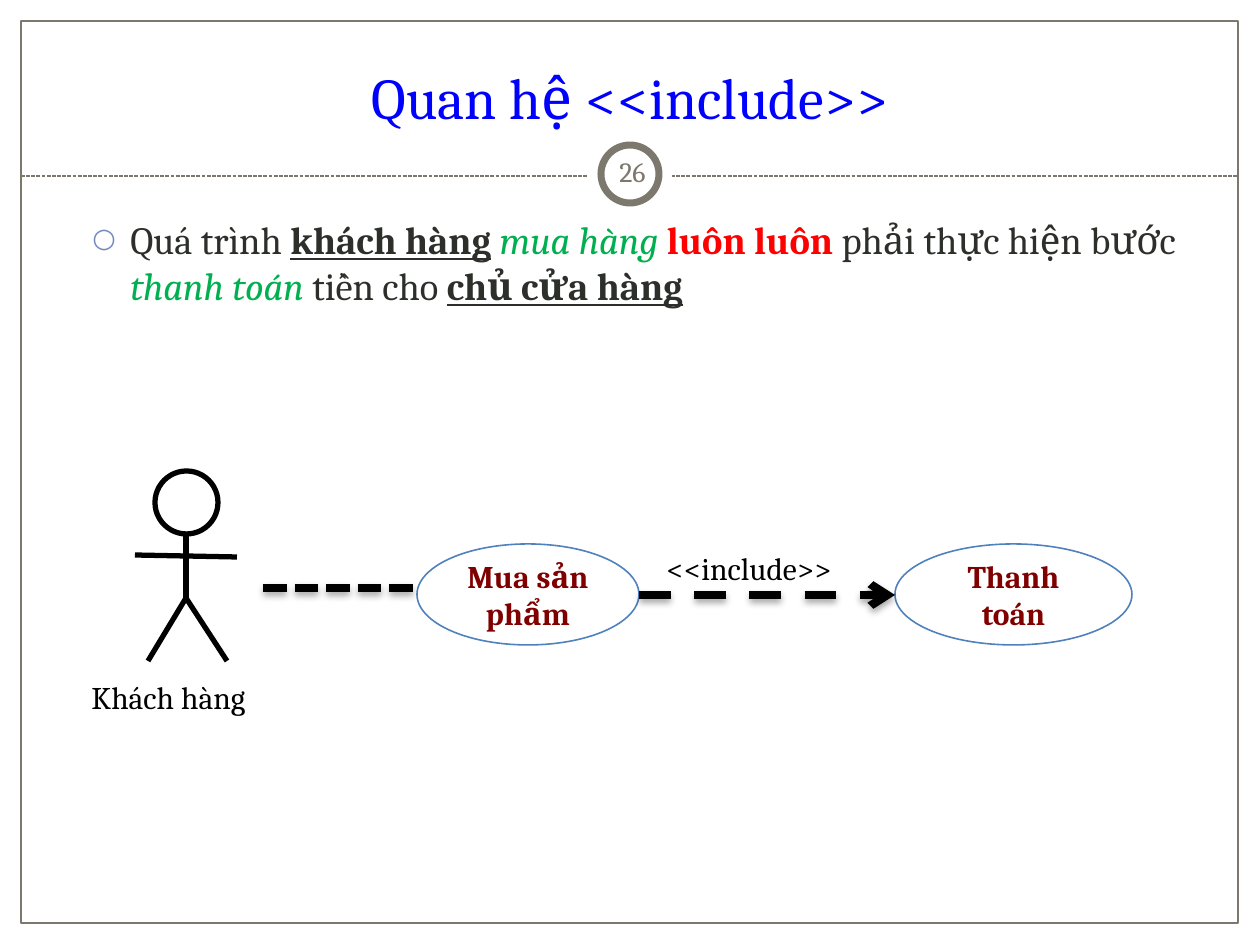
"""Builds the slide on the include relation between use cases."""
from dataclasses import dataclass
from typing import Optional

from lxml.etree import SubElement
from pptx import Presentation
from pptx.dml.color import RGBColor
from pptx.enum.dml import MSO_LINE
from pptx.enum.shapes import MSO_CONNECTOR, MSO_SHAPE
from pptx.enum.text import MSO_ANCHOR, PP_ALIGN
from pptx.oxml.ns import qn
from pptx.util import Emu, Pt

SCALE = 914400 / 126
FONT = "Cambria"
BLACK, WHITE, GREY, BLUE = "000000", "FFFFFF", "7D786D", "4F81BD"
INK, GREEN, RED, MAROON = "2D2F2B", "00B050", "FF0000", "800000"


@dataclass
class Box:
    left: int
    top: int
    width: int
    height: int


@dataclass
class Run:
    text: str
    size: int
    color: str
    bold: bool = False
    italic: bool = False
    under: bool = False


@dataclass
class Line:
    x1: int
    y1: int
    x2: int
    y2: int
    width: float = 3
    color: str = BLACK
    dash: Optional[MSO_LINE] = None
    arrow: bool = False
    shadow: bool = False


@dataclass
class Case:
    box: Box
    name: str


@dataclass
class Label:
    box: Box
    run: Run
    align: PP_ALIGN = PP_ALIGN.LEFT
    anchor: MSO_ANCHOR = MSO_ANCHOR.TOP
    wrap: bool = True
    inset: Optional[int] = None


def px(value: int) -> Emu:
    """Turn px into EMU."""
    return Emu(round(value * SCALE))


def rgb(color: str) -> RGBColor:
    """Turn a hex string into a colour."""
    return RGBColor.from_string(color)


def place(box: Box) -> tuple:
    """Give the four lengths of a box in EMU."""
    return px(box.left), px(box.top), px(box.width), px(box.height)


def write(par, runs: list[Run]) -> None:
    """Add runs to a paragraph."""
    for item in runs:
        run = par.add_run()
        run.text = item.text
        font = run.font
        font.name, font.size = FONT, Pt(item.size)
        font.bold, font.italic, font.underline = item.bold, item.italic, item.under
        font.color.rgb = rgb(item.color)


def style(shape, fill: Optional[str], line: Optional[str], width: float = 1) -> None:
    """Set fill and outline, and drop the shadow."""
    shape.shadow.inherit = False
    if fill:
        shape.fill.solid()
        shape.fill.fore_color.rgb = rgb(fill)
    else:
        shape.fill.background()
    if line:
        shape.line.color.rgb = rgb(line)
        shape.line.width = Pt(width)
    else:
        shape.line.fill.background()


def draw(slide, kind: MSO_SHAPE, box: Box, fill: Optional[str],
         line: Optional[str], width: float = 1):
    """Draw a preset shape."""
    shape = slide.shapes.add_shape(kind, *place(box))
    style(shape, fill, line, width)
    return shape


def join(slide, line: Line) -> None:
    """Draw a straight line."""
    ends = map(px, (line.x1, line.y1, line.x2, line.y2))
    wire = slide.shapes.add_connector(MSO_CONNECTOR.STRAIGHT, *ends)
    wire.line.color.rgb = rgb(line.color)
    wire.line.width = Pt(line.width)
    if line.dash:
        wire.line.dash_style = line.dash
    if line.arrow:
        SubElement(wire.line._get_or_add_ln(), qn("a:tailEnd"), type="arrow")
    effects = SubElement(wire._element.spPr, qn("a:effectLst"))
    if line.shadow:
        outer = SubElement(effects, qn("a:outerShdw"), blurRad=str(Pt(4)),
                           dist=str(Pt(2)), dir="5400000", rotWithShape="0")
        shade = SubElement(outer, qn("a:srgbClr"), val=BLACK)
        SubElement(shade, qn("a:alpha"), val="35000")


def label(slide, item: Label) -> None:
    """Draw a text box with one run."""
    frame = slide.shapes.add_textbox(*place(item.box)).text_frame
    frame.word_wrap, frame.vertical_anchor = item.wrap, item.anchor
    if item.inset is not None:
        frame.margin_left = frame.margin_right = px(item.inset)
        frame.margin_top = frame.margin_bottom = px(item.inset)
    frame.paragraphs[0].alignment = item.align
    write(frame.paragraphs[0], [item.run])


def oval(slide, case: Case) -> None:
    """Draw a use case."""
    frame = draw(slide, MSO_SHAPE.OVAL, case.box, WHITE, BLUE, 0.9).text_frame
    frame.word_wrap, frame.vertical_anchor = True, MSO_ANCHOR.MIDDLE
    frame.paragraphs[0].alignment = PP_ALIGN.CENTER
    write(frame.paragraphs[0], [Run(case.name, 18, MAROON, bold=True)])


def body(slide, box: Box, runs: list[Run]) -> None:
    """Draw the bulleted text."""
    frame = slide.shapes.add_textbox(*place(box)).text_frame
    frame.word_wrap = True
    par = frame.paragraphs[0]
    props = par._p.get_or_add_pPr()
    props.set("marL", str(px(76)))
    props.set("indent", str(px(-38)))
    tint = SubElement(props, qn("a:buClr"))
    SubElement(tint, qn("a:srgbClr"), val="748CBC")
    SubElement(props, qn("a:buSzPct"), val="70000")
    SubElement(props, qn("a:buFont"), typeface=FONT)
    SubElement(props, qn("a:buChar"), char="○")
    write(par, runs)


def actor(slide) -> None:
    """Draw the stick figure."""
    draw(slide, MSO_SHAPE.OVAL, Box(155, 471, 63, 63), None, BLACK, 3)
    join(slide, Line(186, 533, 186, 601))
    join(slide, Line(135, 555, 237, 557))
    legs = slide.shapes.build_freeform(148, 661, scale=SCALE)
    legs.add_line_segments([(186, 598), (227, 661)], close=False)
    style(legs.convert_to_shape(), None, BLACK, 3)


def main() -> None:
    """Build and save the slide."""
    deck = Presentation()
    deck.slide_width, deck.slide_height = px(1260), px(945)
    slide = deck.slides.add_slide(deck.slide_layouts[6])
    mid = PP_ALIGN.CENTER

    draw(slide, MSO_SHAPE.RECTANGLE, Box(21, 21, 1217, 902), None, GREY, 0.75)
    join(slide, Line(21, 176, 1238, 176, 0.75, GREY, MSO_LINE.SQUARE_DOT))
    draw(slide, MSO_SHAPE.OVAL, Box(588, 132, 84, 84), WHITE, None)
    draw(slide, MSO_SHAPE.OVAL, Box(601, 145, 58, 58), WHITE, GREY, 4)
    label(slide, Label(Box(42, 32, 1176, 105), Run("Quan hệ <<include>>", 33, "0000FF"),
                       mid, MSO_ANCHOR.BOTTOM))
    label(slide, Label(Box(601, 141, 63, 60), Run("26", 16, GREY),
                       mid, MSO_ANCHOR.MIDDLE, inset=6))
    body(slide, Box(42, 210, 1172, 698), [
        Run("Quá trình ", 22, INK),
        Run("khách hàng", 22, INK, bold=True, under=True),
        Run(" ", 22, INK),
        Run("mua hàng ", 22, GREEN, italic=True),
        Run("luôn luôn ", 22, RED, bold=True),
        Run("phải thực hiện bước ", 22, INK),
        Run("thanh toán ", 22, GREEN, italic=True),
        Run("tiền cho ", 22, INK),
        Run("chủ cửa hàng", 22, INK, bold=True, under=True),
    ])

    for case in (Case(Box(417, 544, 222, 101), "Mua sản phẩm"),
                 Case(Box(895, 544, 237, 101), "Thanh toán")):
        oval(slide, case)
    join(slide, Line(639, 595, 895, 595, 4.5, dash=MSO_LINE.DASH, arrow=True, shadow=True))
    join(slide, Line(263, 588, 417, 588, 4.5, dash=MSO_LINE.SQUARE_DOT, shadow=True))
    actor(slide)
    for box, text in ((Box(654, 543, 210, 50), "<<include>>"),
                      (Box(79, 672, 193, 50), "Khách hàng")):
        label(slide, Label(box, Run(text, 18, BLACK), wrap=False))
    deck.save("out.pptx")


if __name__ == "__main__":
    main()
